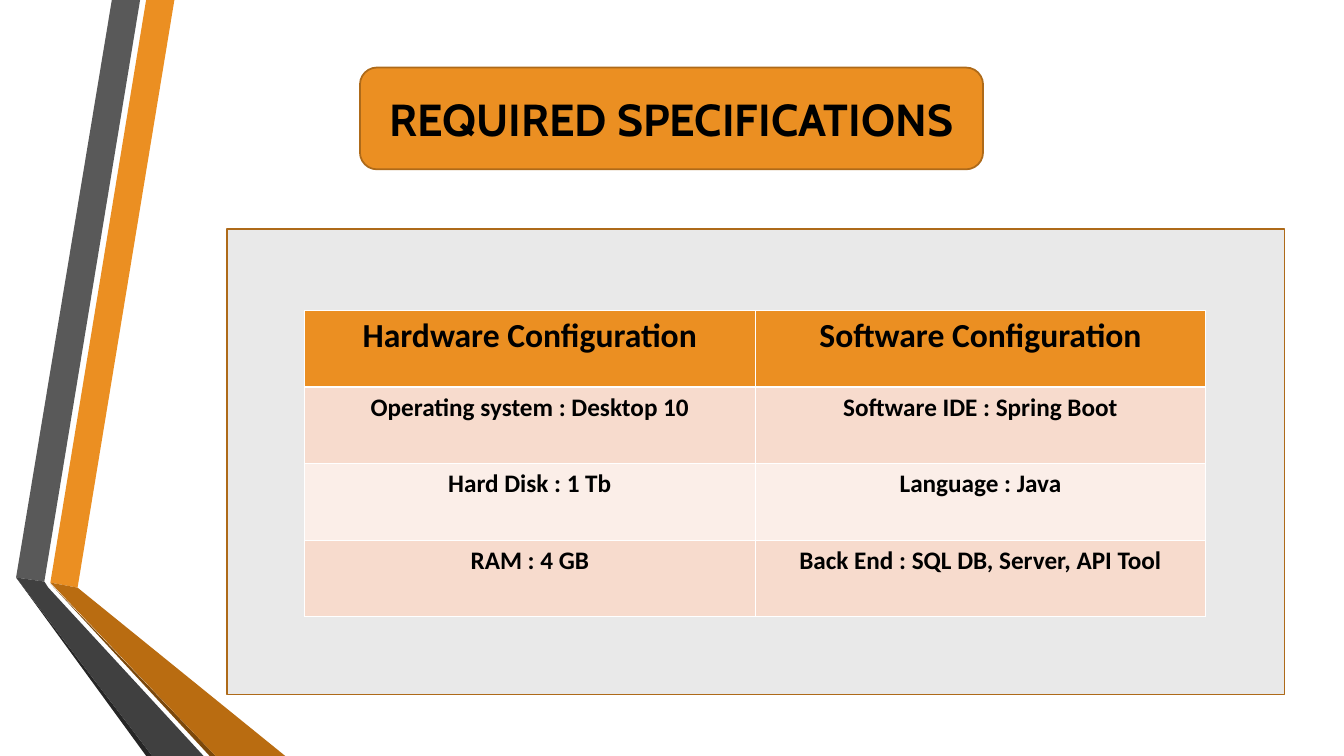
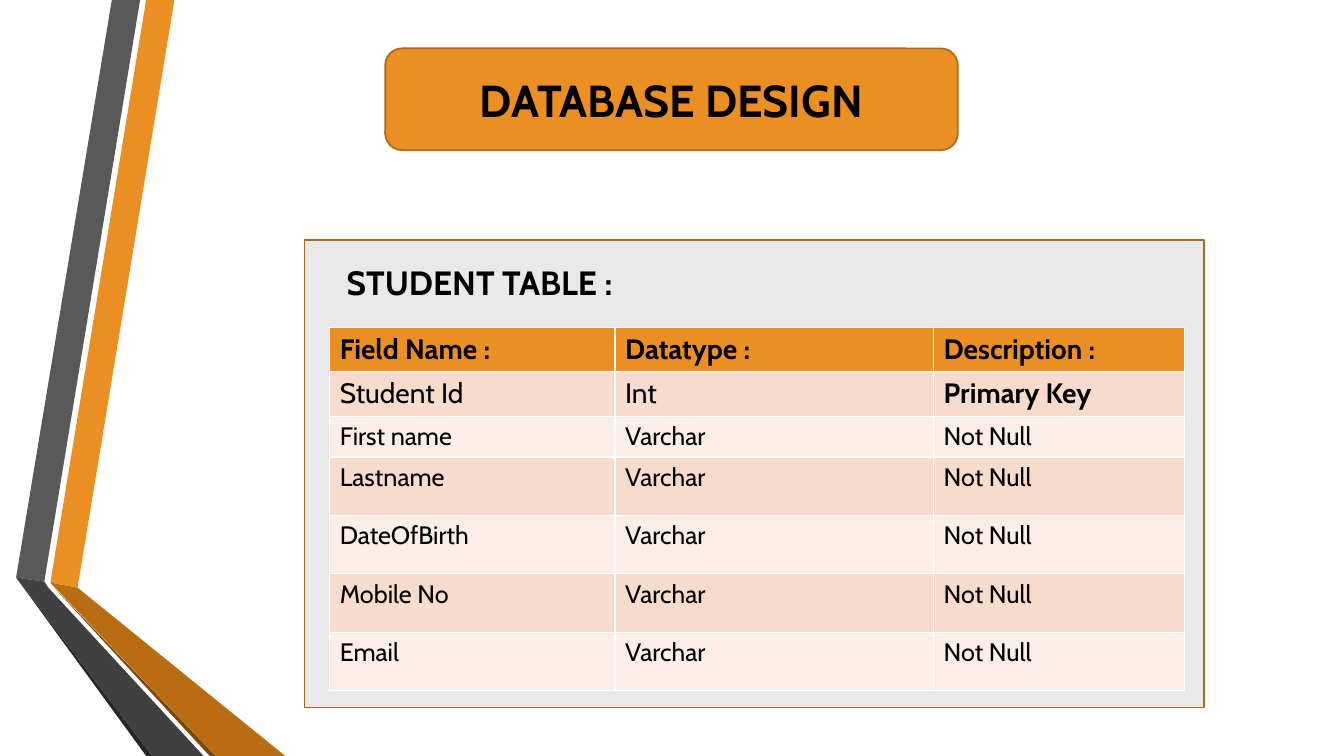
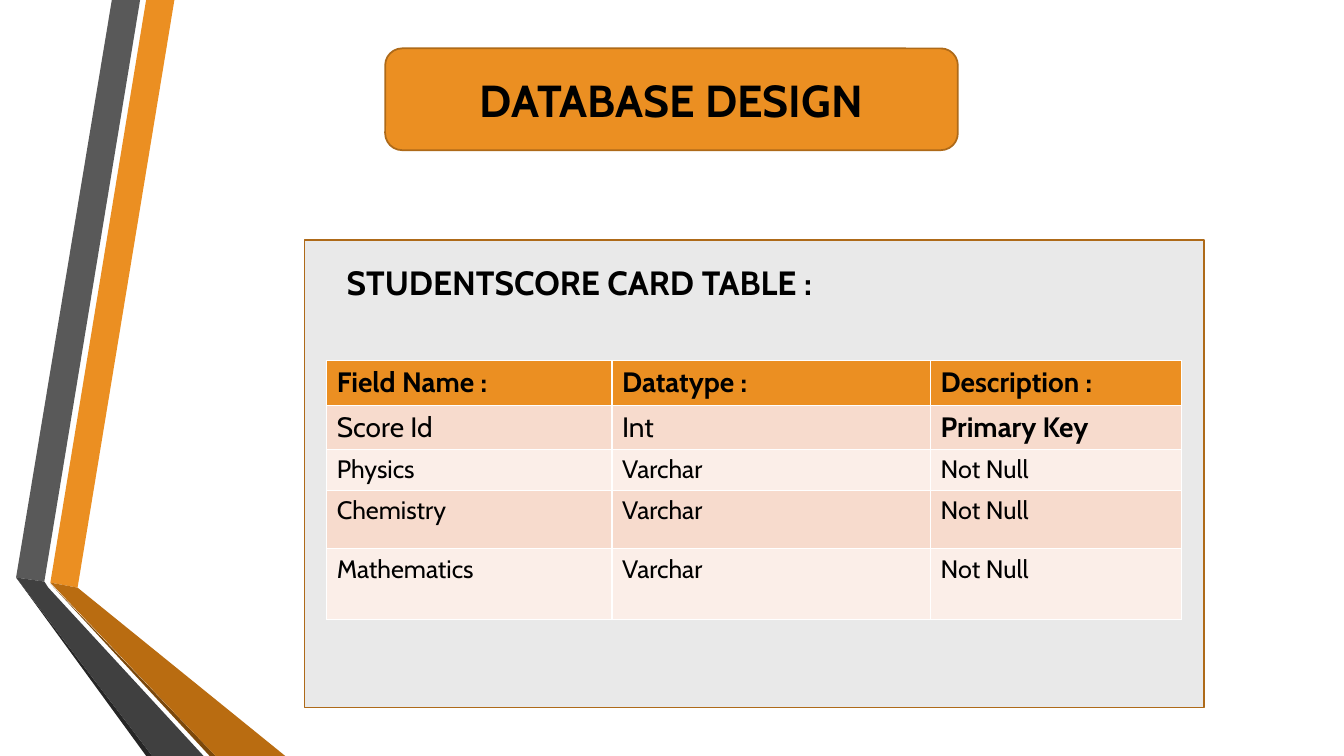
from dataclasses import dataclass

import pptx
import pptx.dml.color
import pptx.enum.shapes
import pptx.enum.text
import pptx.util
from pptx.util import Inches

Align = pptx.enum.text.PP_ALIGN
Preset = pptx.enum.shapes.MSO_SHAPE


# Theme
@dataclass(frozen=True)
class Theme:
    orange: str = "EB8F22"
    outline: str = "AE6A19"
    panel: str = "E9E9E9"
    text: str = "000000"
    row_fills: tuple[str, str] = ("F7DBCD", "FBEEE8")
    display_font: str = "Cabin"
    body_font: str = "Calibri"
    title_size: int = 32
    heading_size: int = 24
    field_size: int = 20
    body_size: int = 18
    line_width: float = 1.25


THEME = Theme()


@dataclass(frozen=True)
class Box:
    left: float
    top: float
    width: float
    height: float

    def emu(self) -> tuple[int, int, int, int]:
        return (Inches(self.left), Inches(self.top),
                Inches(self.width), Inches(self.height))


@dataclass(frozen=True)
class Ribbon:
    color: str
    points: tuple[tuple[float, float], ...]


@dataclass(frozen=True)
class TextStyle:
    size: int
    font: str = THEME.display_font
    bold: bool = True
    align: Align = Align.LEFT


@dataclass(frozen=True)
class Grid:
    left: float
    top: float
    columns: tuple[float, ...]
    row_heights: tuple[float, ...]
    rows: tuple[tuple[str, ...], ...]


# Folded ribbons along the left edge, back to front
RIBBONS = (
    Ribbon(THEME.orange, ((0.5, 5.78), (0.77, 5.83), (1.73, 0), (1.45, 0))),
    Ribbon("595959", ((1.39, 0), (1.11, 0), (0.16, 5.73), (0.44, 5.77))),
    Ribbon("262626", ((0.16, 5.73), (1.45, 7.5), (1.51, 7.5))),
    Ribbon("7B480B", ((0.5, 5.79), (2.08, 7.5), (2.14, 7.5))),
    Ribbon("B96C11", ((0.5, 5.78), (2.14, 7.5), (2.83, 7.5), (0.77, 5.83))),
    Ribbon("404040", ((2.02, 7.5), (0.48, 5.83), (0.44, 5.77),
                      (0.16, 5.73), (1.51, 7.5))),
)

TITLE = TextStyle(THEME.title_size, align=Align.CENTER)
HEADING = TextStyle(THEME.heading_size)
FIELD_HEADER = TextStyle(THEME.field_size)
KEY_FIELD = TextStyle(THEME.field_size, bold=False)
FIELD = TextStyle(THEME.body_size, bold=False)
CONFIG_HEADER = TextStyle(THEME.heading_size, THEME.body_font, align=Align.CENTER)
CONFIG = TextStyle(THEME.body_size, THEME.body_font, align=Align.CENTER)


# Drawing functions
def rgb(color: str) -> pptx.dml.color.RGBColor:
    return pptx.dml.color.RGBColor.from_string(color)


def paint(part, color: str) -> None:
    part.fill.solid()
    part.fill.fore_color.rgb = rgb(color)


def write(frame, text: str, style: TextStyle) -> None:
    frame.text = text
    paragraph = frame.paragraphs[0]
    paragraph.alignment = style.align
    for run in paragraph.runs:
        run.font.name = style.font
        run.font.size = pptx.util.Pt(style.size)
        run.font.bold = style.bold
        run.font.color.rgb = rgb(THEME.text)


def add_block(slide, preset: Preset, box: Box, color: str):
    block = slide.shapes.add_shape(preset, *box.emu())
    block.shadow.inherit = False
    paint(block, color)
    block.line.color.rgb = rgb(THEME.outline)
    block.line.width = pptx.util.Pt(THEME.line_width)
    return block


def add_ribbons(slide) -> None:
    for ribbon in RIBBONS:
        start, *others = [(Inches(x), Inches(y)) for x, y in ribbon.points]
        builder = slide.shapes.build_freeform(*start)
        builder.add_line_segments(others, close=True)
        strip = builder.convert_to_shape()
        strip.shadow.inherit = False
        paint(strip, ribbon.color)
        strip.line.fill.background()


def add_title(slide, text: str, box: Box) -> None:
    title = slide.shapes.title
    title.left, title.top, title.width, title.height = box.emu()
    frame = title.text_frame
    frame.word_wrap = True
    frame.auto_size = pptx.enum.text.MSO_AUTO_SIZE.NONE
    frame.vertical_anchor = pptx.enum.text.MSO_ANCHOR.MIDDLE
    write(frame, text, TITLE)
    # The banner sits directly behind the title
    banner = add_block(slide, Preset.ROUNDED_RECTANGLE, box, THEME.orange)
    title.element.addprevious(banner.element)


def add_grid(slide, grid: Grid, row_styles: tuple[TextStyle, ...],
             bold_cells: tuple[tuple[int, int], ...] = ()) -> None:
    box = Box(grid.left, grid.top, sum(grid.columns), sum(grid.row_heights))
    table = slide.shapes.add_table(
        len(grid.rows), len(grid.columns), *box.emu()).table
    for column, width in zip(table.columns, grid.columns):
        column.width = Inches(width)
    for r, (texts, height) in enumerate(zip(grid.rows, grid.row_heights)):
        table.rows[r].height = Inches(height)
        # The last style carries on to the end of the table
        style = row_styles[min(r, len(row_styles) - 1)]
        color = THEME.row_fills[(r - 1) % 2] if r else THEME.orange
        for c, text in enumerate(texts):
            cell = table.cell(r, c)
            paint(cell, color)
            write(cell.text_frame, text, style)
            if (r, c) in bold_cells:
                cell.text_frame.paragraphs[0].runs[0].font.bold = True


def start_slide(deck, title: str, title_box: Box, panel_box: Box):
    slide = deck.slides.add_slide(deck.slide_layouts.get_by_name("Title Only"))
    add_ribbons(slide)
    add_title(slide, title, title_box)
    add_block(slide, Preset.RECTANGLE, panel_box, THEME.panel)
    return slide


def add_database_slide(deck, heading: str, heading_width: float,
                       left: float, top: float, key: str,
                       fields: tuple[str, ...],
                       field_heights: tuple[float, ...]) -> None:
    slide = start_slide(deck, "DATABASE DESIGN", Box(3.82, 0.48, 5.68, 1.01),
                        Box(3.02, 2.38, 8.92, 4.64))
    rows = (
        ("Field Name :", "Datatype :", "Description :"),
        (key, "Int", "Primary Key"),
        *((field, "Varchar", "Not Null") for field in fields),
    )
    grid = Grid(left, top, (2.83, 3.16, 2.49), (0.43, 0.43, *field_heights), rows)
    add_grid(slide, grid, (FIELD_HEADER, KEY_FIELD, FIELD), bold_cells=((1, 2),))
    caption = slide.shapes.add_textbox(*Box(3.34, 2.55, heading_width, 0.5).emu())
    caption.text_frame.word_wrap = True
    write(caption.text_frame, heading, HEADING)


deck = pptx.Presentation()
deck.slide_width, deck.slide_height = Inches(13.33), Inches(7.5)

# Required specifications
specifications = start_slide(
    deck, "REQUIRED SPECIFICATIONS", Box(3.57, 0.67, 6.18, 1.01),
    Box(2.25, 2.27, 10.49, 4.62))
add_grid(
    specifications,
    Grid(3.02, 3.08, (4.47,) * 2, (0.76,) * 4, (
        ("Hardware Configuration", "Software Configuration"),
        ("Operating system : Desktop 10", "Software IDE : Spring Boot"),
        ("Hard Disk : 1 Tb", "Language : Java"),
        ("RAM : 4 GB", "Back End : SQL DB, Server, API Tool"),
    )),
    (CONFIG_HEADER, CONFIG))

# Student table
add_database_slide(
    deck, "STUDENT TABLE :", 3.72, 3.27, 3.25, "Student Id",
    ("First name", "Lastname", "DateOfBirth", "Mobile No", "Email"),
    (0.4, 0.58, 0.58, 0.58, 0.58))

# Score card table
add_database_slide(
    deck, "STUDENTSCORE CARD TABLE :", 5.06, 3.24, 3.58, "Score Id",
    ("Physics", "Chemistry", "Mathematics"), (0.4, 0.58, 0.7))

deck.save("out.pptx")
